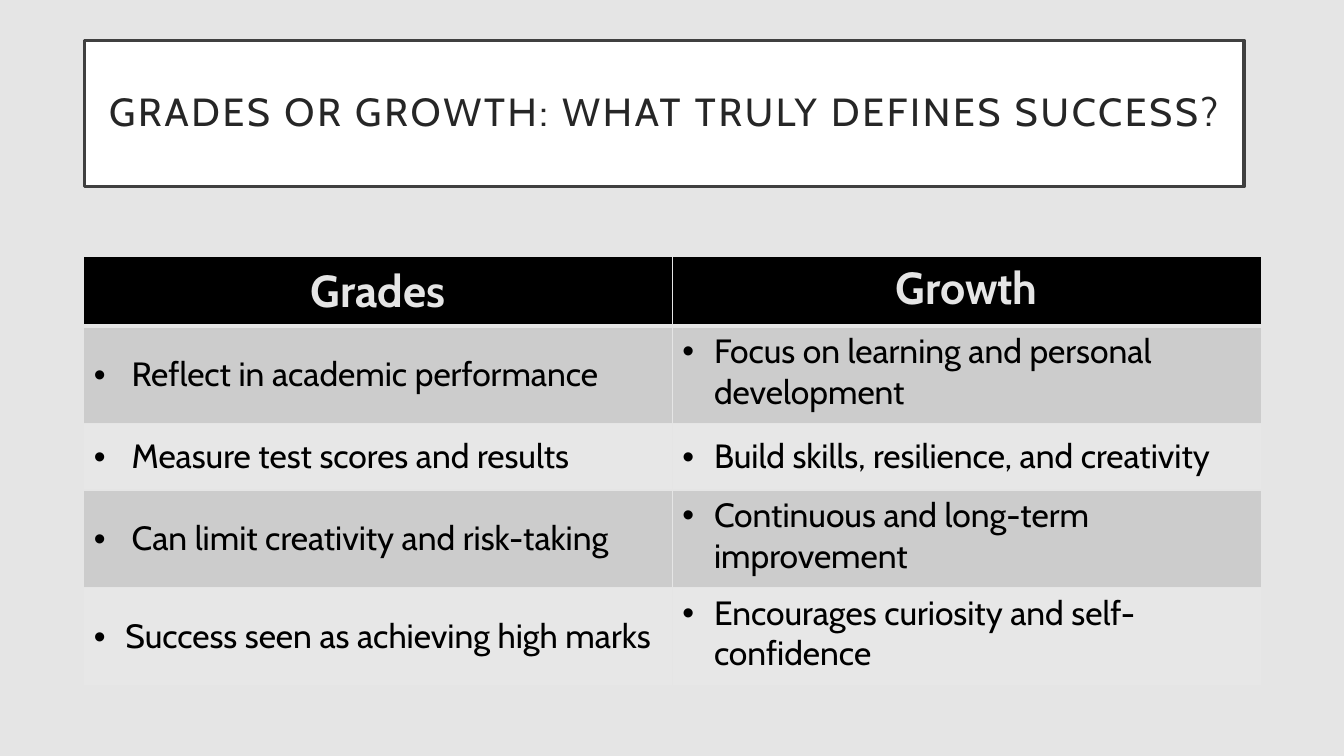
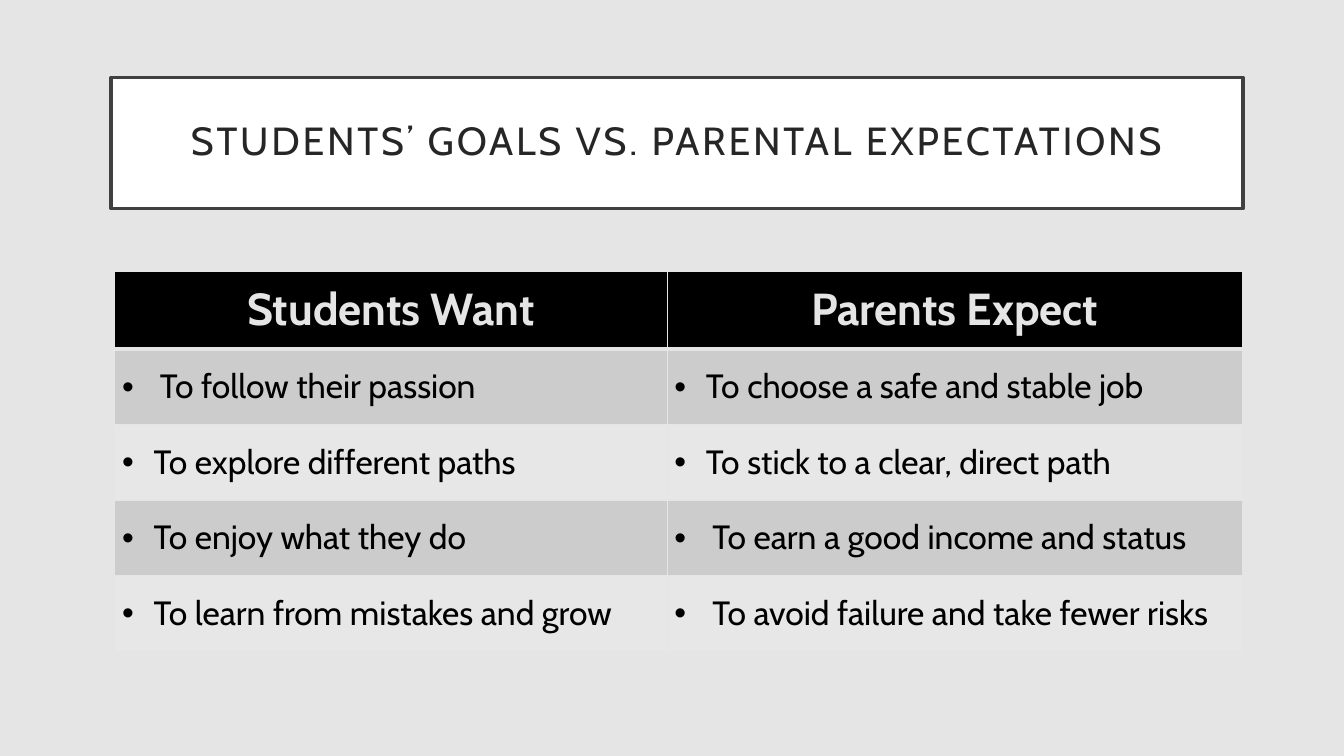
from typing import NamedTuple

from lxml.etree import SubElement
from pptx import Presentation
from pptx.dml.color import RGBColor
from pptx.enum.text import MSO_ANCHOR as Anchor, MSO_AUTO_SIZE as AutoSize, PP_ALIGN as Align
from pptx.oxml import parse_xml
from pptx.oxml.ns import nsdecls, qn
from pptx.util import Pt

BACKGROUND = RGBColor(0xE5, 0xE5, 0xE5)
WHITE = RGBColor(0xFF, 0xFF, 0xFF)
BLACK = RGBColor(0x00, 0x00, 0x00)
FRAME = RGBColor(0x40, 0x40, 0x40)
TITLE_INK = RGBColor(0x26, 0x26, 0x26)
BANDS = (RGBColor(0xCC, 0xCC, 0xCC), RGBColor(0xE7, 0xE7, 0xE7))

FONT = "Cabin"
NARROW, WIDE = 22.5, 27


class Entry(NamedTuple):
    text: str
    indent: float = NARROW
    anchor: Anchor = Anchor.MIDDLE


class Deck:
    def __init__(self):
        self.presentation = Presentation()
        self.presentation.slide_width = Pt(960)
        self.presentation.slide_height = Pt(540)
        fill = self.presentation.slide_master.background.fill
        fill.solid()
        fill.fore_color.rgb = BACKGROUND
        self.slide = None

    def new_slide(self, title, left, top, width, height):
        """Start a slide whose title sits in a framed white band."""
        self.slide = self.presentation.slides.add_slide(self.presentation.slide_layouts[5])
        band = self.slide.shapes.title
        band.left, band.top, band.width, band.height = map(Pt, (left, top, width, height))
        band.fill.solid()
        band.fill.fore_color.rgb = WHITE
        band.line.color.rgb = FRAME
        band.line.width = Pt(2.5)
        frame = band.text_frame
        frame.text = title
        frame.word_wrap = True
        frame.auto_size = AutoSize.NONE
        frame.vertical_anchor = Anchor.MIDDLE
        frame.margin_left = frame.margin_right = Pt(14.4)
        frame.margin_top = frame.margin_bottom = Pt(14.4)
        paragraph = frame.paragraphs[0]
        paragraph.alignment = Align.CENTER
        paragraph.line_spacing = 0.9
        run = paragraph.runs[0]
        self.style(run, 28, TITLE_INK)
        run.font._element.set("spc", "200")

    def comparison(self, left, top, columns, heights, rows, side_margin=7.2):
        """Add a table with a black heading row and banded bullet rows."""
        table = self.slide.shapes.add_table(
            len(rows), len(columns), Pt(left), Pt(top), Pt(sum(columns)), Pt(sum(heights))
        ).table
        for column, width in zip(table.columns, columns):
            column.width = Pt(width)
        for index, (row, height, entries) in enumerate(zip(table.rows, heights, rows)):
            row.height = Pt(height)
            for cell, entry in zip(row.cells, entries):
                self.fill_cell(cell, entry, index, side_margin)

    def fill_cell(self, cell, entry, row, side_margin):
        is_heading = row == 0
        cell.fill.solid()
        cell.fill.fore_color.rgb = BLACK if is_heading else BANDS[(row - 1) % 2]
        cell.vertical_anchor = entry.anchor
        cell.margin_left = cell.margin_right = Pt(side_margin)
        cell.text_frame.text = entry.text
        paragraph = cell.text_frame.paragraphs[0]
        if is_heading:
            paragraph.alignment = Align.CENTER
            self.style(paragraph.runs[0], 32, BACKGROUND, bold=True)
        else:
            self.bullet(paragraph, entry.indent)
            self.style(paragraph.runs[0], 24, BLACK)
        self.borders(cell, top=3 if row == 1 else 1, bottom=3 if is_heading else 1)

    @staticmethod
    def borders(cell, top, bottom):
        properties = cell._tc.get_or_add_tcPr()
        for position, (side, width) in enumerate(
            (("lnL", 1), ("lnR", 1), ("lnT", top), ("lnB", bottom))
        ):
            properties.insert(position, parse_xml(
                f'<a:{side} {nsdecls("a")} w="{Pt(width)}"><a:solidFill>'
                f'<a:srgbClr val="{BACKGROUND}"/></a:solidFill></a:{side}>'
            ))

    @staticmethod
    def bullet(paragraph, indent):
        properties = paragraph._p.get_or_add_pPr()
        properties.set("marL", str(Pt(indent)))
        properties.set("indent", str(-Pt(indent)))
        SubElement(properties, qn("a:buFont")).set("typeface", "Arial")
        SubElement(properties, qn("a:buChar")).set("char", "•")

    @staticmethod
    def style(run, size, color, bold=False):
        run.font.name = FONT
        run.font.size = Pt(size)
        run.font.bold = bold
        run.font.color.rgb = color


def main():
    deck = Deck()

    deck.new_slide("GRADES OR GROWTH: WHAT TRULY DEFINES SUCCESS?", 60.5, 28.8, 828, 104.4)
    deck.comparison(59.8, 183, (420.5, 420.5), (49.7, 69.8, 47.5, 69.8, 69.8), (
        (Entry("Grades"), Entry("Growth", anchor=Anchor.TOP)),
        (Entry("Reflect in academic performance", WIDE),
         Entry("Focus on learning and personal development", anchor=Anchor.TOP)),
        (Entry("Measure test scores and results", WIDE),
         Entry("Build skills, resilience, and creativity")),
        (Entry("Can limit creativity and risk-taking", WIDE),
         Entry("Continuous and long-term improvement", anchor=Anchor.TOP)),
        (Entry("Success seen as achieving high marks"),
         Entry("Encourages curiosity and self-confidence", anchor=Anchor.TOP)),
    ))

    deck.new_slide("STUDENTS’ GOALS VS. PARENTAL EXPECTATIONS", 79.2, 55.4, 808.6, 93.6)
    deck.comparison(82, 193.7, (394.6, 411), (55.4, 54, 54, 54, 54), (
        (Entry("Students Want"), Entry("Parents Expect")),
        (Entry("To follow their passion", WIDE), Entry("To choose a safe and stable job")),
        (Entry("To explore different paths"), Entry("To stick to a clear, direct path")),
        (Entry("To enjoy what they do"), Entry("To earn a good income and status", WIDE)),
        (Entry("To learn from mistakes and grow"),
         Entry("To avoid failure and take fewer risks", WIDE)),
    ), side_margin=5.2)

    deck.presentation.save("out.pptx")


if __name__ == "__main__":
    main()
